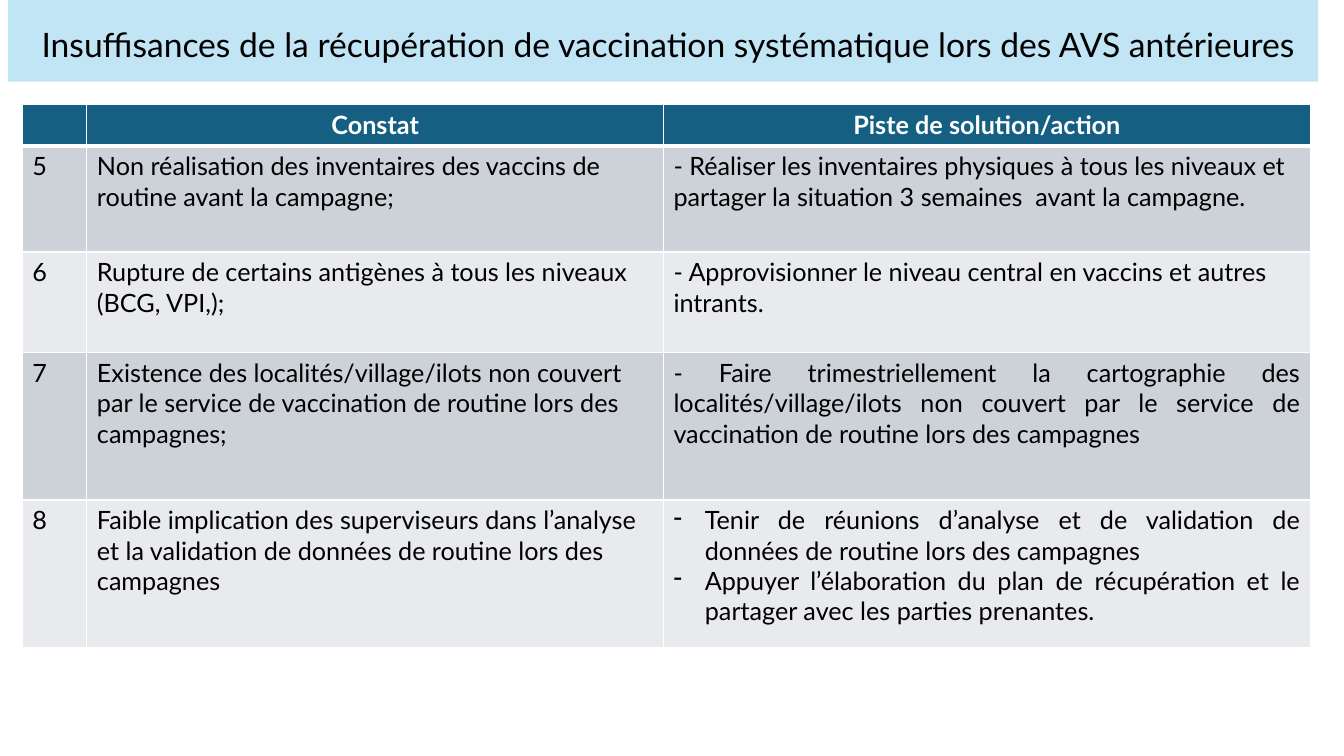
"""Build the slide on shortfalls in routine vaccination catch-up."""
from lxml import etree
from pptx import Presentation
from pptx.dml.color import RGBColor
from pptx.enum.text import MSO_ANCHOR, PP_ALIGN
from pptx.oxml.ns import qn
from pptx.util import Cm, Pt

LEFT, CENTER, JUSTIFY = PP_ALIGN.LEFT, PP_ALIGN.CENTER, PP_ALIGN.JUSTIFY
MIDDLE = MSO_ANCHOR.MIDDLE
FONT = "Lato"
BLACK = RGBColor(0x00, 0x00, 0x00)
WHITE = RGBColor(0xFF, 0xFF, 0xFF)
TITLE_BLUE = RGBColor(0xC1, 0xE5, 0xF5)
HEADER_BLUE = RGBColor(0x15, 0x60, 0x82)
BANDS = (RGBColor(0xCC, 0xD2, 0xD8), RGBColor(0xE8, 0xEA, 0xED))

TITLE = ("Insuffisances de la récupération de vaccination systématique "
         "lors des AVS antérieures")
HEADERS = ("", "Constat", "Piste de solution/action")
COLUMN_WIDTHS = (1.63, 14.53, 16.3)
ROW_HEIGHTS = (1.04, 2.67, 2.54, 3.71, 3.71)
FINDINGS = (
    ("5", "Non réalisation des inventaires des vaccins de routine avant la campagne;",
     ["- Réaliser les inventaires physiques à tous les niveaux et partager la "
      "situation 3 semaines  avant la campagne."], {}),
    ("6", "Rupture de certains antigènes à tous les niveaux (BCG, VPI,);",
     ["- Approvisionner le niveau central en vaccins et autres intrants."], {}),
    ("7", "Existence des localités/village/ilots non couvert par le service de "
     "vaccination de routine lors des campagnes;",
     ["- Faire trimestriellement la cartographie des localités/village/ilots non "
      "couvert par le service de vaccination de routine lors des campagnes"],
     {"align": JUSTIFY}),
    ("8", "Faible implication des superviseurs dans l’analyse et la validation de "
     "données de routine lors des campagnes",
     ["Tenir de réunions d’analyse et de validation de données de routine lors "
      "des campagnes",
      "Appuyer l’élaboration du plan de récupération et le partager avec les "
      "parties prenantes."],
     {"align": JUSTIFY, "bullet": "-"}),
)


def write(tf, lines, size=18, color=BLACK, bold=False, align=LEFT, bullet=None,
          line_spacing=None):
    """Fill a text frame with one formatted paragraph per line."""
    for i, line in enumerate(lines):
        p = tf.paragraphs[0] if i == 0 else tf.add_paragraph()
        p.alignment = align
        if line_spacing:
            p.line_spacing = line_spacing
        if bullet:
            p_pr = p._p.get_or_add_pPr()
            p_pr.set("marL", str(Cm(0.79)))
            p_pr.set("indent", str(-Cm(0.79)))
            etree.SubElement(p_pr, qn("a:buChar")).set("char", bullet)
        r = p.add_run()
        r.text = line
        r.font.name = FONT
        r.font.size = Pt(size)
        r.font.bold = bold
        r.font.color.rgb = color


def set_borders(cell, top=1, bottom=1):
    """Draw white borders of the given point widths around a cell."""
    tc_pr = cell._tc.get_or_add_tcPr()
    for tag, width in (("lnL", 1), ("lnR", 1), ("lnT", top), ("lnB", bottom)):
        line = etree.SubElement(tc_pr, qn(f"a:{tag}"), w=str(Pt(width)))
        fill = etree.SubElement(line, qn("a:solidFill"))
        etree.SubElement(fill, qn("a:srgbClr"), val=str(WHITE))


def fill_cell(cell, lines, fill, top=1, bottom=1, **text_format):
    """Set the borders, fill and text of one table cell."""
    set_borders(cell, top, bottom)
    cell.fill.solid()
    cell.fill.fore_color.rgb = fill
    write(cell.text_frame, lines, **text_format)


def add_title(s):
    """Place the title placeholder as a pale blue banner."""
    title = s.shapes.title
    title.left, title.top, title.width, title.height = Cm(0.2), 0, Cm(33.02), Cm(2.06)
    title.fill.solid()
    title.fill.fore_color.rgb = TITLE_BLUE
    tf = title.text_frame
    tf.vertical_anchor = MIDDLE
    tf.margin_left, tf.margin_right = Cm(0.5), Cm(0.25)
    tf.margin_top, tf.margin_bottom = Cm(0.41), Cm(0.13)
    write(tf, [TITLE], size=24, align=CENTER, line_spacing=0.9)


def add_findings_table(s):
    """Add the table of findings and proposed actions."""
    frame = s.shapes.add_table(len(ROW_HEIGHTS), len(COLUMN_WIDTHS), Cm(0.56), Cm(2.64),
                               Cm(sum(COLUMN_WIDTHS)), Cm(sum(ROW_HEIGHTS)))
    table = frame.table
    table.horz_banding = False
    for column, width in zip(table.columns, COLUMN_WIDTHS):
        column.width = Cm(width)
    for row, height in zip(table.rows, ROW_HEIGHTS):
        row.height = Cm(height)
    for col, header in enumerate(HEADERS):
        fill_cell(table.cell(0, col), [header] if header else [], HEADER_BLUE,
                  bottom=3, color=WHITE, bold=True, align=CENTER)
    for row, (number, finding, actions, action_format) in enumerate(FINDINGS, 1):
        fill = BANDS[(row - 1) % 2]
        top = 3 if row == 1 else 1
        fill_cell(table.cell(row, 0), [number], fill, top)
        fill_cell(table.cell(row, 1), [finding], fill, top)
        fill_cell(table.cell(row, 2), actions, fill, top, **action_format)


def main():
    """Create the presentation and save it."""
    prs = Presentation()
    prs.slide_width, prs.slide_height = Cm(33.87), Cm(19.05)
    s = prs.slides.add_slide(prs.slide_layouts[5])
    add_title(s)
    add_findings_table(s)
    prs.save("out.pptx")


if __name__ == "__main__":
    main()
